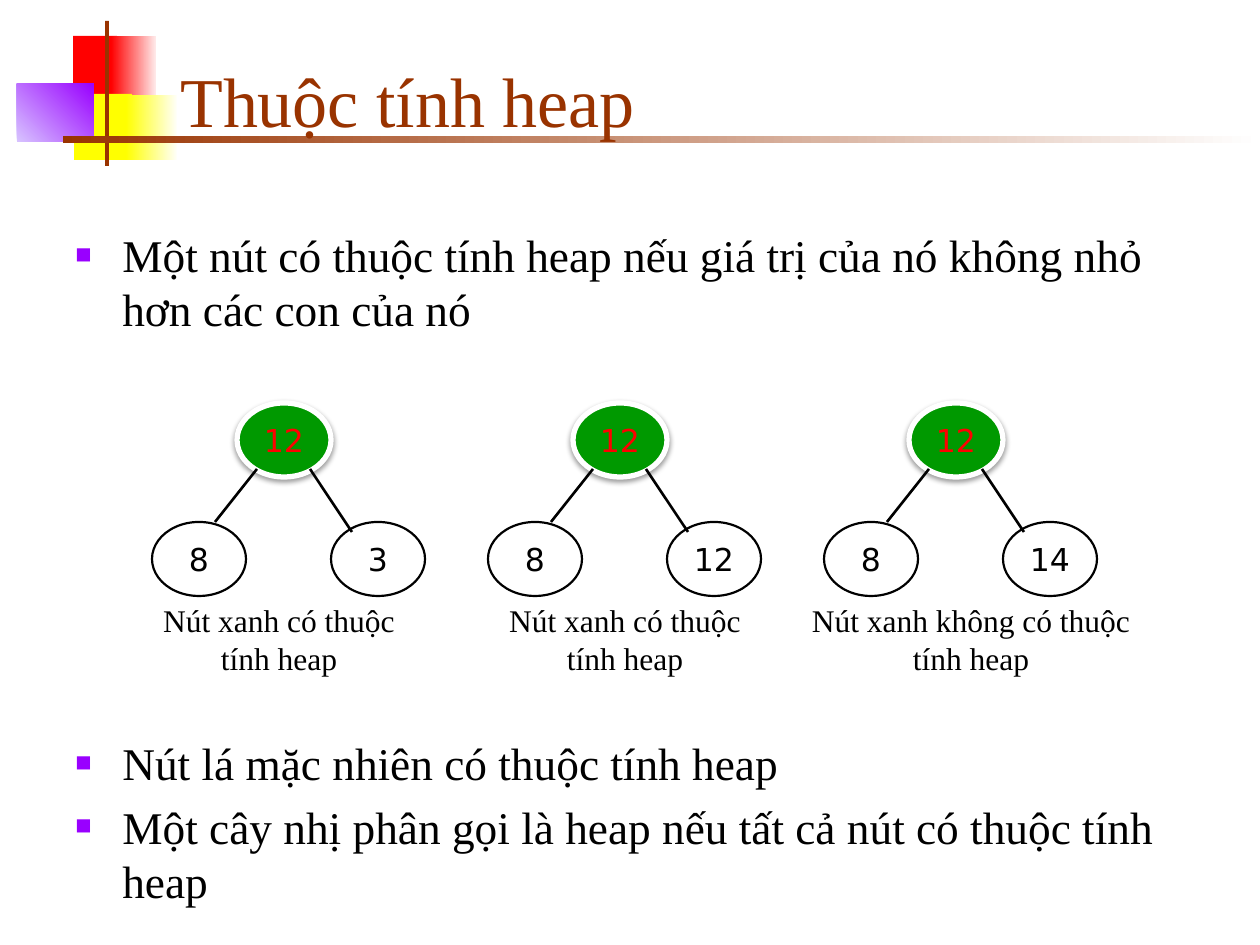
import pptx
import pptx.util
import pptx.dml.color
import pptx.enum.shapes
import pptx.enum.text
import pptx.oxml
import pptx.oxml.ns
import lxml.etree

PX = 914400 / 126
THEME = {
    "serif": "Times New Roman", "sans": "DejaVu Sans",
    "title": 40, "body": 25.9, "small": 18,
    "brown": "993300", "violet": "9900FF", "lilac": "D8C4FF",
    "red": "FF0000", "pink": "FFEAEA", "yellow": "FFFF00", "cream": "FFFFF8",
    "green": "009900", "black": "000000", "white": "FFFFFF",
}
SHAPE = pptx.enum.shapes.MSO_SHAPE
ANCHOR = pptx.enum.text.MSO_ANCHOR
CENTER = pptx.enum.text.PP_ALIGN.CENTER
qn = pptx.oxml.ns.qn

deck = pptx.Presentation()
deck.slide_width = pptx.util.Inches(10)
deck.slide_height = pptx.util.Inches(7.5)
page = deck.slides.add_slide(deck.slide_layouts[6])


def emu(*lengths):
    return [round(length * PX) for length in lengths]


def write(para, text, size, font, color):
    span = para.add_run()
    span.text = text
    span.font.size = pptx.util.Pt(THEME[size])
    span.font.name = THEME[font]
    span.font.color.rgb = pptx.dml.color.RGBColor.from_string(THEME[color])


decorations = [
    ((73, 36, 44, 65), ["red"], 0),
    ((111, 36, 45, 65), ["red", "pink"], 0),
    ((74, 94, 58, 66), ["yellow"], 0),
    ((126, 95, 51, 65), ["yellow", "cream"], 0),
    ((17, 84, 77, 58), ["lilac", "violet"], 45),
    ((105, 21, 4, 145), ["brown"], 0),
    ((63, 136, 1197, 7), ["brown", "white"], 0),
]
for place, colors, angle in decorations:
    block = page.shapes.add_shape(SHAPE.RECTANGLE, *emu(*place))
    block.shadow.inherit = False
    block.line.fill.background()
    if len(colors) == 1:
        block.fill.solid()
        targets = [block.fill.fore_color]
    else:
        block.fill.gradient()
        block.fill.gradient_angle = angle
        targets = [stop.color for stop in block.fill.gradient_stops]
    for target, color in zip(targets, colors):
        target.rgb = pptx.dml.color.RGBColor.from_string(THEME[color])

title = page.shapes.add_textbox(*emu(168, 32, 1074, 116))
title.text_frame.word_wrap = True
title.text_frame.vertical_anchor = ANCHOR.BOTTOM
write(title.text_frame.paragraphs[0], "Thuộc tính heap", "title", "serif", "brown")

bullet_blocks = [
    (221, 130, ["Một nút có thuộc tính heap nếu giá trị của nó không nhỏ hơn các con của nó"]),
    (729, 190, ["Nút lá mặc nhiên có thuộc tính heap",
                "Một cây nhị phân gọi là heap nếu tất cả nút có thuộc tính heap"]),
]
for top, height, points in bullet_blocks:
    box = page.shapes.add_textbox(*emu(63, top, 1134, height))
    frame = box.text_frame
    frame.word_wrap = True
    for index, point in enumerate(points):
        para = frame.add_paragraph() if index else frame.paragraphs[0]
        props = para._p.get_or_add_pPr()
        indent = emu(47)[0]
        props.set("marL", str(indent))
        props.set("indent", str(-indent))
        bullet_color = lxml.etree.SubElement(props, qn("a:buClr"))
        lxml.etree.SubElement(bullet_color, qn("a:srgbClr"), val=THEME["violet"])
        lxml.etree.SubElement(props, qn("a:buSzPct"), val="60000")
        lxml.etree.SubElement(props, qn("a:buFont"), typeface=THEME["serif"])
        lxml.etree.SubElement(props, qn("a:buChar"), char="■")
        if index:
            para.space_before = pptx.util.Pt(5.2)
        write(para, point, "body", "serif", "black")

trees = [
    ("3", "Nút xanh có thuộc tính heap", 273),
    ("12", "Nút xanh có thuộc tính heap", 273),
    ("14", "Nút xanh không có thuộc tính heap", 357),
]
for number, (right_value, caption, caption_width) in enumerate(trees):
    shift = 336 * number
    nodes = [(237, 403, "12", True), (152, 522, "8", False), (331, 522, right_value, False)]
    for left, top, value, is_root in nodes:
        node = page.shapes.add_shape(SHAPE.OVAL, *emu(left + shift, top, 94, 74))
        node.shadow.inherit = False
        node.line.color.rgb = pptx.dml.color.RGBColor.from_string(
            THEME["white" if is_root else "black"])
        node.line.width = pptx.util.Pt(3 if is_root else 1.25)
        if is_root:
            node.fill.solid()
            node.fill.fore_color.rgb = pptx.dml.color.RGBColor.from_string(THEME["green"])
            effects = node._element.spPr.find(qn("a:effectLst"))
            shadow = lxml.etree.SubElement(
                effects, qn("a:outerShdw"), blurRad=str(pptx.util.Pt(3.1)),
                dist=str(pptx.util.Pt(1.6)), dir="5400000", rotWithShape="0")
            shade = lxml.etree.SubElement(shadow, qn("a:srgbClr"), val=THEME["black"])
            lxml.etree.SubElement(shade, qn("a:alpha"), val="38000")
        else:
            node.fill.background()
        node.text_frame.word_wrap = False
        node.text_frame.vertical_anchor = ANCHOR.MIDDLE
        para = node.text_frame.paragraphs[0]
        para.alignment = CENTER
        write(para, value, "small", "sans", "red" if is_root else "black")

    for start_x, end_x, end_y in [(257, 215, 522), (310, 352, 532)]:
        edge = page.shapes.add_connector(
            pptx.enum.shapes.MSO_CONNECTOR.STRAIGHT,
            *emu(start_x + shift, 469, end_x + shift, end_y))
        edge.line.color.rgb = pptx.dml.color.RGBColor.from_string(THEME["black"])
        edge.line.width = pptx.util.Pt(1.5)
        lxml.etree.SubElement(edge._element.spPr, qn("a:effectLst"))

    middle = 279 + 346 * number
    label = page.shapes.add_textbox(*emu(middle - caption_width / 2, 595, caption_width, 89))
    label.text_frame.word_wrap = True
    para = label.text_frame.paragraphs[0]
    para.alignment = CENTER
    write(para, caption, "small", "serif", "black")

deck.save("out.pptx")
